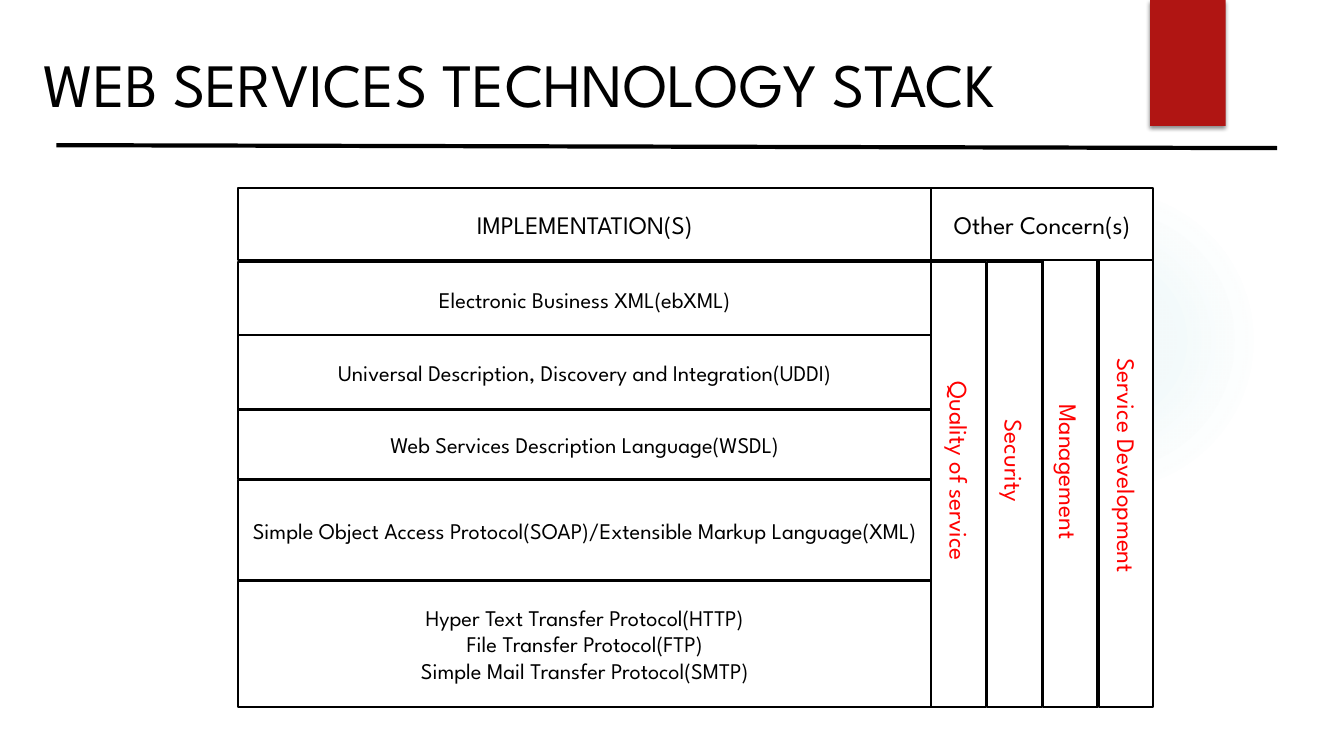
from dataclasses import dataclass

from lxml import etree
from pptx import Presentation
from pptx.dml.color import RGBColor
from pptx.enum.shapes import MSO_CONNECTOR, MSO_SHAPE
from pptx.enum.text import MSO_ANCHOR, MSO_AUTO_SIZE, PP_ALIGN
from pptx.oxml import parse_xml
from pptx.oxml.ns import nsdecls, qn
from pptx.util import Pt

RECT = MSO_SHAPE.RECTANGLE
OVAL = MSO_SHAPE.OVAL
LINE = MSO_CONNECTOR.STRAIGHT
CENTER = PP_ALIGN.CENTER
LEFT = PP_ALIGN.LEFT
MIDDLE = MSO_ANCHOR.MIDDLE
GROW = MSO_AUTO_SIZE.SHAPE_TO_FIT_TEXT

FACE = "League Spartan"
COLORS = {"ink": "000000", "paper": "FFFFFF", "label": "FF0000",
          "flag": "B01513", "glow": "50B9C1"}
BOX_FRAME = {"word_wrap": True, "vertical_anchor": MIDDLE}
TEXT_FRAME = {"word_wrap": True, "auto_size": GROW}


@dataclass
class Box:
    left: float
    top: float
    width: float
    height: float
    lines: tuple[str, ...] = ()
    size: float = 16


@dataclass
class Label:
    text: str
    mid_x: float
    mid_y: float
    width: float
    height: float = 29
    size: float = 18
    color: str = "label"
    turn: float = 90


# Stack geometry
STACK_X, STACK_W = 170, 495.3
SIDE_X, SIDE_W, PITCH = STACK_X + STACK_W, 158.4, 39.9
HEAD_Y, HEAD_H = 134.6, 51.2
BASE_Y = 505.3

LAYERS = [
    (414.7, 90.6, 16, ("Hyper Text Transfer Protocol(HTTP)",
                       "File Transfer Protocol(FTP)",
                       "Simple Mail Transfer Protocol(SMTP)")),
    (187.2, 53.2, 16, ("Electronic Business XML(ebXML)",)),
    (239, 54, 16, ("Universal Description, Discovery and Integration(UDDI)",)),
    (342.7, 72, 16,
     ("Simple Object Access Protocol(SOAP)/Extensible Markup Language(XML)",)),
    (292.5, 49.8, 16, ("Web Services Description Language(WSDL)",)),
    (HEAD_Y, HEAD_H, 18, ("IMPLEMENTATION(S)",)),
]
SIDE_TOPS = [187.2, 187.2, 185.8, 185.8]

BOXES = [Box(STACK_X, top, STACK_W, height, lines, size)
         for top, height, size, lines in LAYERS]
BOXES += [Box(SIDE_X + i * PITCH, top, 38.9, BASE_Y - top)
          for i, top in enumerate(SIDE_TOPS)]
BOXES.append(Box(SIDE_X, HEAD_Y, SIDE_W, HEAD_H, ("Other Concern(s)",), 18))

LABELS = [
    Label("Quality of service", 685.4, 350.6, 170),
    Label("Security", 724.7, 337, 88.6),
    Label("Management", 763.6, 350.6, 137.5),
    Label("Service Development", 805, 351.4, 204.5),
    Label("WEB SERVICES TECHNOLOGY STACK", 432, 59.8, 816.5, 60.5, 44, "ink", 0),
]


def rgb(name: str) -> RGBColor:
    return RGBColor.from_string(COLORS[name])


def write(frame, lines: tuple[str, ...], size: float, color: str,
          align, form: dict) -> None:
    for key, value in form.items():
        setattr(frame, key, value)
    style = {"name": FACE, "size": Pt(size)}
    for i, line in enumerate(lines):
        para = frame.add_paragraph() if i else frame.paragraphs[0]
        para.alignment = align
        run = para.add_run()
        run.text = line
        for key, value in style.items():
            setattr(run.font, key, value)
        run.font.color.rgb = rgb(color)


def add_plain(slide, kind, box: Box):
    shape = slide.shapes.add_shape(kind, Pt(box.left), Pt(box.top),
                                   Pt(box.width), Pt(box.height))
    shape.shadow.inherit = False
    shape.line.fill.background()
    return shape


def add_glow(slide) -> None:
    shape = add_plain(slide, OVAL, Box(677.5, 131.8, 221.8, 221.8))
    stops = "".join(
        f'<a:gs pos="{pos * 1000}"><a:srgbClr val="{COLORS["glow"]}">'
        f'<a:alpha val="{alpha * 1000}"/></a:srgbClr></a:gs>'
        for pos, alpha in [(0, 7), (36, 6), (69, 0)])
    grad = parse_xml(
        f'<a:gradFill {nsdecls("a")}><a:gsLst>{stops}</a:gsLst>'
        '<a:path path="circle"><a:fillToRect l="50000" t="50000" '
        'r="50000" b="50000"/></a:path></a:gradFill>')
    shape._element.spPr.find(qn("a:prstGeom")).addnext(grad)


def add_flag(slide) -> None:
    shape = add_plain(slide, RECT, Box(821.5, 0, 54, 90))
    shape.fill.solid()
    shape.fill.fore_color.rgb = rgb("flag")
    shade = parse_xml(
        f'<a:outerShdw {nsdecls("a")} blurRad="{Pt(3)}" dist="{Pt(2)}" '
        'dir="5400000" rotWithShape="0"><a:srgbClr val="000000">'
        '<a:alpha val="45000"/></a:srgbClr></a:outerShdw>')
    shape._element.spPr.find(qn("a:effectLst")).append(shade)


def add_box(slide, box: Box) -> None:
    shape = add_plain(slide, RECT, box)
    shape.fill.solid()
    shape.fill.fore_color.rgb = rgb("paper")
    shape.line.color.rgb = rgb("ink")
    shape.line.width = Pt(1.5)
    write(shape.text_frame, box.lines, box.size, "ink", CENTER, BOX_FRAME)


def add_label(slide, label: Label) -> None:
    text = slide.shapes.add_textbox(
        Pt(label.mid_x - label.width / 2), Pt(label.mid_y - label.height / 2),
        Pt(label.width), Pt(label.height))
    text.rotation = label.turn
    write(text.text_frame, (label.text,), label.size, label.color, LEFT,
          TEXT_FRAME)


def add_rule(slide) -> None:
    rule = slide.shapes.add_connector(LINE, Pt(40.3), Pt(103.7),
                                      Pt(912.2), Pt(105.8))
    rule.line.color.rgb = rgb("ink")
    rule.line.width = Pt(3)
    etree.SubElement(rule._element.spPr, qn("a:effectLst"))


def main() -> None:
    deck = Presentation()
    deck.slide_width, deck.slide_height = Pt(960), Pt(540)
    slide = deck.slides.add_slide(deck.slide_layouts[6])

    # Backdrop
    add_glow(slide)
    add_flag(slide)

    # Stack and side concerns
    for box in BOXES:
        add_box(slide, box)

    # Side labels, title and rule
    for label in LABELS:
        add_label(slide, label)
    add_rule(slide)

    deck.save("out.pptx")


if __name__ == "__main__":
    main()
